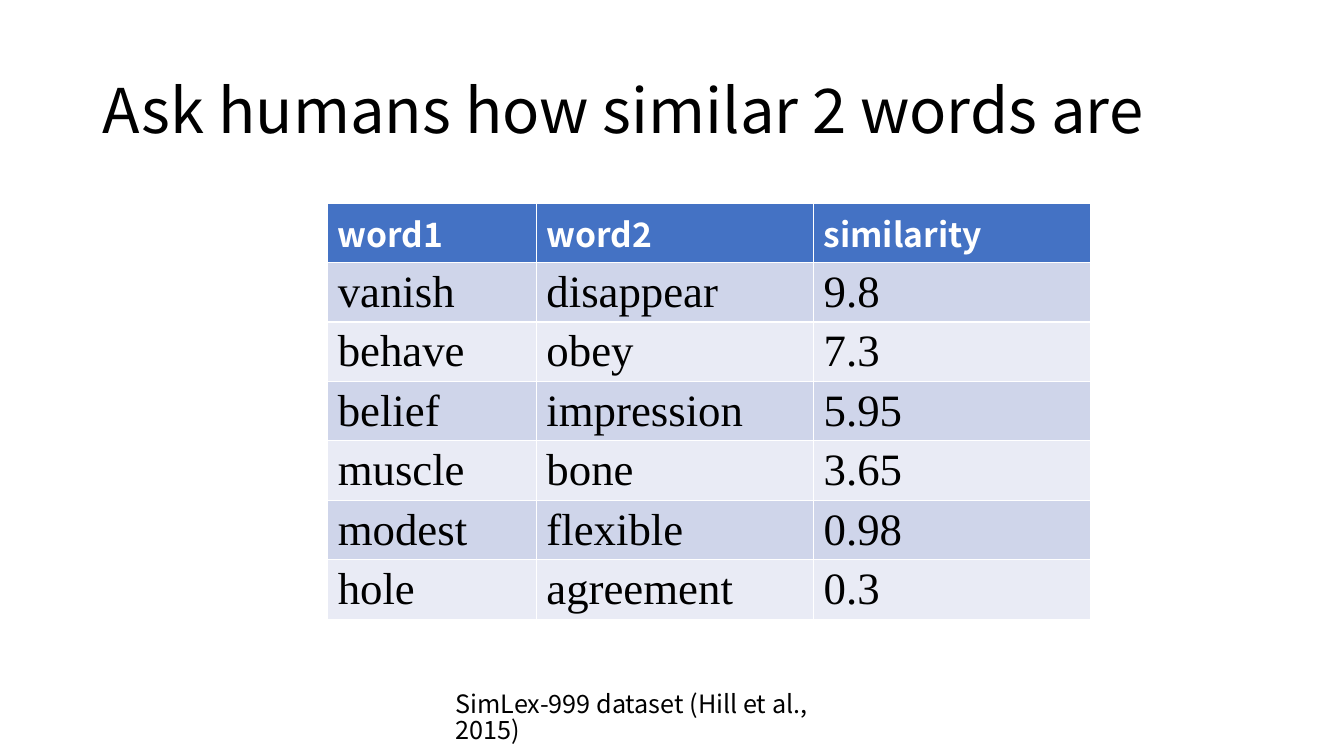
"""Slide with human similarity scores for word pairs."""
from dataclasses import dataclass

from pptx import Presentation
from pptx import util as u
from pptx.dml.color import RGBColor
from pptx.enum import text

SANS, SERIF = "Noto Sans CJK KR", "Times New Roman"
COL_WIDTHS = (2.07, 2.75, 2.75)
BANDS = ("CFD5EA", "E9EBF5")
ROWS = (
    ("word1", "word2", "similarity"),
    ("vanish", "disappear", "9.8"),
    ("behave", "obey", "7.3"),
    ("belief", "impression", "5.95"),
    ("muscle", "bone", "3.65"),
    ("modest", "flexible", "0.98"),
    ("hole", "agreement", "0.3"),
)


@dataclass(frozen=True)
class RowStyle:
    """Format shared by the cells of a table row."""
    height: float
    margin: float
    size: int
    font: str
    color: str
    bold: bool


@dataclass(frozen=True)
class Label:
    """A text box with one paragraph."""
    words: str
    left: float
    top: float
    width: float
    height: float
    size: int
    spacing: float
    anchor: text.MSO_ANCHOR


HEADER = RowStyle(0.58, 0.05, 24, SANS, "FFFFFF", True)
BODY = RowStyle(0.59, 0.04, 32, SERIF, "000000", False)
LABELS = (
    Label("Ask humans how similar 2 words are", 0.92, 0.4, 11.5, 1.45, 44, 0.9,
          text.MSO_ANCHOR.MIDDLE),
    Label("SimLex-999 dataset (Hill et al., 2015)", 4.42, 6.83, 3.99, 0.4, 18, 0.85,
          text.MSO_ANCHOR.TOP),
)


def rgb(value: str) -> RGBColor:
    """Turn a hex string into a colour."""
    return RGBColor.from_string(value)


def apply(target: object, values: dict) -> None:
    """Set attributes from a dict of format values."""
    for name, value in values.items():
        setattr(target, name, value)


def write(p, words: str, size: int, font: str, color: str, bold: bool = False) -> None:
    """Add one formatted run to a paragraph."""
    r = p.add_run()
    r.text = words
    apply(r.font, {"size": u.Pt(size), "name": font, "bold": bold})
    r.font.color.rgb = rgb(color)


def add_label(s, label: Label) -> None:
    """Draw a text box."""
    box = (label.left, label.top, label.width, label.height)
    tf = s.shapes.add_textbox(*map(u.Inches, box)).text_frame
    apply(tf, {"word_wrap": True, "vertical_anchor": label.anchor})
    p = tf.paragraphs[0]
    p.line_spacing = label.spacing
    write(p, label.words, label.size, SANS, "000000")


def add_scores(s, left: float, top: float) -> None:
    """Draw the table of word pairs and scores."""
    styles = [HEADER] + [BODY] * (len(ROWS) - 1)
    box = (left, top, sum(COL_WIDTHS), sum(style.height for style in styles))
    table = s.shapes.add_table(len(ROWS), len(COL_WIDTHS), *map(u.Inches, box)).table
    for column, width in zip(table.columns, COL_WIDTHS):
        column.width = u.Inches(width)
    for i, (words, style) in enumerate(zip(ROWS, styles)):
        table.rows[i].height = u.Inches(style.height)
        margin = u.Inches(style.margin)
        for cell, word in zip(table.rows[i].cells, words):
            apply(cell, {"margin_top": margin, "margin_bottom": margin,
                         "vertical_anchor": text.MSO_ANCHOR.MIDDLE})
            cell.fill.solid()
            cell.fill.fore_color.rgb = rgb(BANDS[(i - 1) % 2] if i else "4472C4")
            write(cell.text_frame.paragraphs[0], word, style.size, style.font,
                  style.color, style.bold)


def main() -> None:
    """Build and save the slide."""
    prs = Presentation()
    apply(prs, {"slide_width": u.Inches(13.33), "slide_height": u.Inches(7.5)})
    s = prs.slides.add_slide(prs.slide_layouts[6])
    add_scores(s, 3.25, 2.02)
    for label in LABELS:
        add_label(s, label)
    prs.save("out.pptx")


if __name__ == "__main__":
    main()
